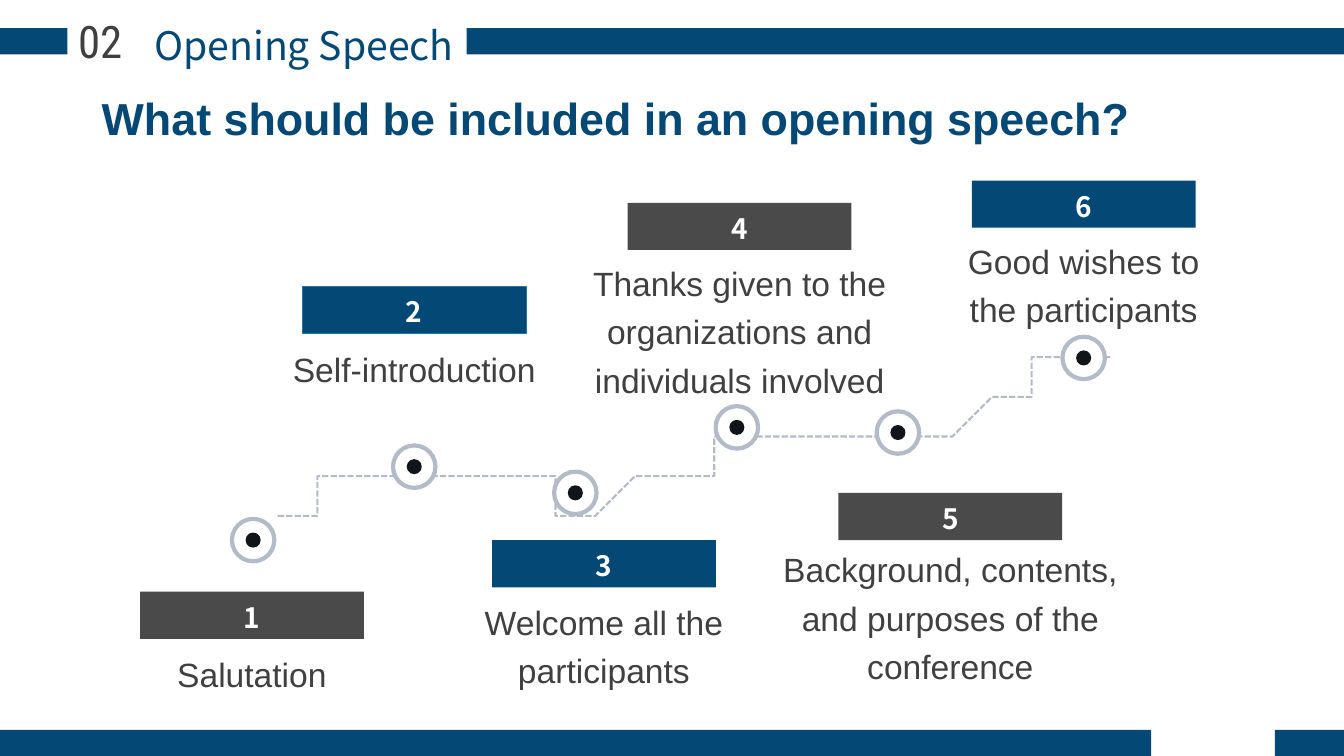
from pptx import Presentation
from pptx.dml.color import RGBColor
from pptx.enum.dml import MSO_LINE
from pptx.enum.shapes import MSO_SHAPE
from pptx.enum.text import MSO_ANCHOR, MSO_AUTO_SIZE, PP_ALIGN
from pptx.util import Cm, Pt

BLUE, GRAY, TEXT = "044875", "4A4A4A", "404040"
RING, DOT, WHITE = "B3BAC8", "11151A", "FFFFFF"
SANS = "Noto Sans CJK SC"
BAR_W, BAR_H = 5.64, 1.19

# left, top, width, height
BANDS = [(0, 0.71, 1.7, 0.66), (11.76, 0.71, 22.11, 0.66),
         (32.13, 18.39, 1.74, 0.66), (0, 18.39, 29.01, 0.66)]

# bar left, bar top, fill, edge, label top, label width, label height, lines
STEPS = [
    (3.53, 14.91, GRAY, None, 16.15, 5.64, 1.52, ["Salutation"]),
    (7.62, 7.21, BLUE, "1F74AD", 8.46, 8.18, 1.47, ["Self-introduction"]),
    (12.4, 13.61, BLUE, None, 14.83, 6.96, 2.67,
     ["Welcome all the participants"]),
    (15.82, 5.11, GRAY, None, 6.3, 10.16, 3.81,
     ["Thanks given to the organizations and individuals involved"]),
    (21.13, 12.42, GRAY, None, 13.51, 10.31, 3.12,
     ["Background, contents, and purposes of the conference"]),
    (24.49, 4.55, BLUE, None, 5.74, 8.28, 2.24,
     ["Good wishes to", "the participants"]),
]

NODES = [(6.38, 13.61), (10.44, 11.76), (14.5, 12.42),
         (18.57, 10.77), (22.63, 10.9), (27.31, 9.02)]

START = (6.55, 13.44)
# two control points and the end of each stretch
CURVES = [
    ((6.93, 12.85), (9.12, 11.86), (10.54, 11.84)),
    ((11.99, 11.84), (13.39, 12.62), (14.94, 12.57)),
    ((16.48, 12.52), (17.88, 11.05), (19.33, 10.77)),
    ((20.78, 10.49), (22.05, 11.66), (23.67, 10.95)),
    ((25.32, 10.21), (25.88, 9.42), (27.51, 9.19)),
]


def color(code):
    return RGBColor.from_string(code)


def write(frame, lines, size, font, ink, bold=False, align=PP_ALIGN.CENTER,
          space=1.0, anchor=MSO_ANCHOR.TOP):
    """Fill a text frame with one paragraph per line."""
    frame.word_wrap = True
    frame.auto_size = MSO_AUTO_SIZE.NONE
    frame.vertical_anchor = anchor
    for i, line in enumerate(lines):
        para = frame.add_paragraph() if i else frame.paragraphs[0]
        para.alignment = align
        para.line_spacing = space
        run = para.add_run()
        run.text = line
        run.font.size = Pt(size)
        run.font.name = font
        run.font.bold = bold
        run.font.color.rgb = color(ink)


def place(shape, *spot):
    shape.left, shape.top, shape.width, shape.height = map(Cm, spot)


def label(slide, spot, lines, **style):
    frame = slide.shapes.add_textbox(*map(Cm, spot)).text_frame
    write(frame, lines, **style)


def block(slide, spot, fill, kind=MSO_SHAPE.RECTANGLE, edge=None, width=0.75):
    shape = slide.shapes.add_shape(kind, *map(Cm, spot))
    shape.shadow.inherit = False
    shape.fill.solid()
    shape.fill.fore_color.rgb = color(fill)
    if edge:
        shape.line.color.rgb = color(edge)
        shape.line.width = Pt(width)
    else:
        shape.line.fill.background()
    return shape


def disc(slide, x, y, size, fill, **line):
    spot = (x - size / 2, y - size / 2, size, size)
    block(slide, spot, fill, MSO_SHAPE.OVAL, **line)


def bezier(a, b, c, d, count=24):
    """Points along a cubic curve, without its start."""
    for i in range(1, count + 1):
        t = i / count
        u = 1 - t
        yield tuple(u**3 * p + 3 * u * u * t * q + 3 * u * t * t * r + t**3 * s
                    for p, q, r, s in zip(a, b, c, d))


def trail(slide):
    points, last = [], START
    for first, second, end in CURVES:
        points += bezier(last, first, second, end)
        last = end
    pen = slide.shapes.build_freeform(*START, scale=float(Cm(1)))
    pen.add_line_segments(points, close=False)
    path = pen.convert_to_shape()
    path.shadow.inherit = False
    path.fill.background()
    path.line.color.rgb = color(RING)
    path.line.width = Pt(1.5)
    path.line.dash_style = MSO_LINE.SQUARE_DOT


def node(slide, x, y):
    disc(slide, x, y, 1.07, WHITE, edge=RING, width=3)
    disc(slide, x, y, 0.38, DOT)


def step(slide, number, left, top, fill, edge, drop, width, height, lines):
    """A numbered bar with its label centred on it."""
    bar = block(slide, (left, top, BAR_W, BAR_H), fill, edge=edge)
    write(bar.text_frame, [str(number)], size=20, font=SANS, ink=WHITE,
          bold=True, space=1.1, anchor=MSO_ANCHOR.MIDDLE)
    spot = (left + (BAR_W - width) / 2, drop, width, height)
    label(slide, spot, lines, size=24, font="Arial", ink=TEXT, space=1.2)


def main():
    deck = Presentation()
    deck.slide_width, deck.slide_height = Cm(33.87), Cm(19.05)
    slide = deck.slides.add_slide(deck.slide_layouts[5])

    title = slide.shapes.title
    place(title, 2.31, 2.16, 27.86, 1.63)
    write(title.text_frame, ["What should be included in an opening speech?"],
          size=32, font="Arial", ink=BLUE, bold=True, align=PP_ALIGN.LEFT)

    for band in BANDS:
        block(slide, band, BLUE)
    label(slide, (3.28, 0.41, 8.76, 1.45), ["Opening Speech"],
          size=28, font=SANS, ink=BLUE)
    label(slide, (1.52, 0.23, 2.01, 1.63), ["02"],
          size=32, font="Roboto Condensed", ink=TEXT)

    trail(slide)
    for spot in NODES:
        node(slide, *spot)
    for number, row in enumerate(STEPS, 1):
        step(slide, number, *row)

    deck.save("out.pptx")


if __name__ == "__main__":
    main()
